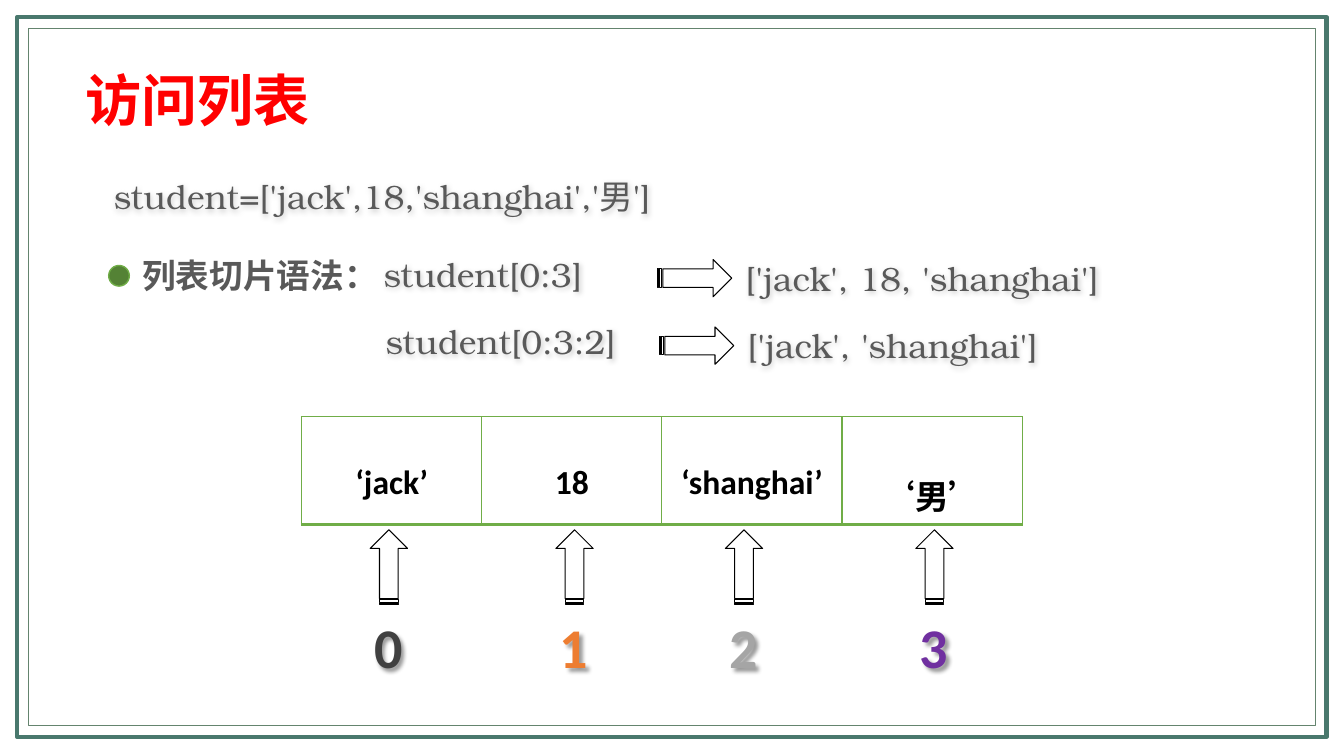
from lxml.etree import SubElement
from pptx import Presentation
from pptx.dml.color import RGBColor
from pptx.enum.shapes import MSO_SHAPE
from pptx.enum.text import MSO_ANCHOR, PP_ALIGN
from pptx.oxml.ns import qn
from pptx.util import Cm, Pt

BLACK = RGBColor(0, 0, 0)
WHITE = RGBColor(255, 255, 255)
GREY = RGBColor(0x59, 0x59, 0x59)
RED = RGBColor(255, 0, 0)
TEAL = RGBColor(0x49, 0x78, 0x6D)
SAGE = RGBColor(0x64, 0x84, 0x6E)
GREEN = RGBColor(0x70, 0xAD, 0x47)
MOSS = RGBColor(0x54, 0x82, 0x35)
TINTS = [RGBColor(0x40, 0x40, 0x40), RGBColor(0xED, 0x7D, 0x31),
         RGBColor(0xA5, 0xA5, 0xA5), RGBColor(0x70, 0x30, 0xA0)]
HAN = "Noto Sans CJK SC"
CODE = "TeX Gyre Bonum"
ARROW = MSO_SHAPE.STRIPED_RIGHT_ARROW


def style(run, size, font, color, bold=False):
    run.font.size = Pt(size)
    run.font.name = font
    run.font.bold = bold
    run.font.color.rgb = color
    SubElement(run.font._element, qn("a:ea"), typeface=HAN)


def shade(shape, blur, dist, alpha):
    effects = SubElement(shape._element.spPr, qn("a:effectLst"))
    shadow = SubElement(effects, qn("a:outerShdw"), blurRad=str(Pt(blur)),
                        dist=str(Pt(dist)), dir="2700000", algn="tl")
    color = SubElement(shadow, qn("a:srgbClr"), val="000000")
    SubElement(color, qn("a:alpha"), val=str(alpha * 1000))


def label(slide, box, text, size, font, color, bold=False, wrap=True):
    shape = slide.shapes.add_textbox(*map(Cm, box))
    frame = shape.text_frame
    frame.word_wrap = wrap
    frame.text = text
    style(frame.paragraphs[0].runs[0], size, font, color, bold)
    return shape


def code(slide, box, text):
    shade(label(slide, box, text, 24, CODE, GREY, wrap=False), 4, 1, 20)


def draw(slide, kind, box, line, width, fill=None):
    shape = slide.shapes.add_shape(kind, *map(Cm, box))
    shape.shadow.inherit = False
    shape.line.color.rgb = line
    shape.line.width = Pt(width)
    if fill is None:
        shape.fill.background()
    else:
        shape.fill.solid()
        shape.fill.fore_color.rgb = fill
    return shape


def border(slide, box):
    left, top, width, height = box
    gap = 0.29
    draw(slide, MSO_SHAPE.RECTANGLE, box, TEAL, 3)
    inner = (left + gap, top + gap, width - 2 * gap, height - 2 * gap)
    draw(slide, MSO_SHAPE.RECTANGLE, inner, SAGE, 0.5)


def topic(slide, box, text):
    left, top, width, height = box
    dot = 0.52
    draw(slide, MSO_SHAPE.OVAL, (left, top + 0.39, dot, dot), GREEN, 1, MOSS)
    label(slide, (left + 0.6, top, width - 0.6, height), text, 24, "Arial", GREY, True)


def sample(slide, box, call, result):
    left, top, width, height = box
    code(slide, (left, top, 6.4, height), call)
    draw(slide, ARROW, (left + 7.14, top + 0.27, 1.88, 0.94), BLACK, 0.75)
    code(slide, (left + 9.12, top + 0.1, width - 9.12, height), result)


def edge(cell, side, width):
    line = SubElement(cell._tc.get_or_add_tcPr(), qn("a:" + side), w=str(Pt(width)))
    fill = SubElement(line, qn("a:solidFill"))
    SubElement(fill, qn("a:srgbClr"), val=str(GREEN))


def items(slide, box, words):
    table = slide.shapes.add_table(1, len(words), *map(Cm, box)).table
    table.first_row = table.horz_banding = False
    for col, word in enumerate(words):
        cell = table.cell(0, col)
        cell.vertical_anchor = MSO_ANCHOR.TOP
        cell.text = word
        para = cell.text_frame.paragraphs[0]
        para.alignment = PP_ALIGN.CENTER
        para.line_spacing = 2.0
        style(para.runs[0], 24, "Calibri", BLACK, True)
        for side, width in (("lnL", 1), ("lnR", 1), ("lnT", 1), ("lnB", 2)):
            edge(cell, side, width)
        cell.fill.solid()
        cell.fill.fore_color.rgb = WHITE


def index(slide, box, number, color):
    left, top, width, height = box
    long, thick = 1.88, 0.94
    arrow = draw(slide, ARROW, (left + (width - long) / 2, top + (long - thick) / 2,
                                long, thick), BLACK, 0.75)
    arrow.rotation = 270
    digit = label(slide, (left + 0.32, top + 1.97, 1.55, height - 1.97),
                  str(number), 40, "Calibri", color, True)
    shade(digit, 3, 3, 40)


def main():
    deck = Presentation()
    deck.slide_width, deck.slide_height = Cm(33.87), Cm(19.05)
    slide = deck.slides.add_slide(deck.slide_layouts[6])
    border(slide, (0.43, 0.43, 33, 18.14))
    label(slide, (1.91, 1.52, 7.3, 1.96), "访问列表", 40, HAN, RED, True)
    code(slide, (2.62, 4.32, 14.83, 1.27), "student=['jack',18,'shanghai','男']")
    topic(slide, (2.74, 6.3, 15.56, 1.27), "列表切片语法：")
    sample(slide, (9.42, 6.27, 19, 1.27), "student[0:3]", "['jack', 18, 'shanghai']")
    sample(slide, (9.47, 7.97, 17.53, 1.27), "student[0:3:2]", "['jack', 'shanghai']")
    items(slide, (7.6, 10.5, 18.16, 2.72), ["‘jack’", "18", "‘shanghai’", "‘男’"])
    for number, (middle, color) in enumerate(zip((9.8, 14.48, 18.75, 23.55), TINTS)):
        index(slide, (middle - 0.94, 13.35, 1.88, 3.93), number, color)
    deck.save("out.pptx")


if __name__ == "__main__":
    main()
